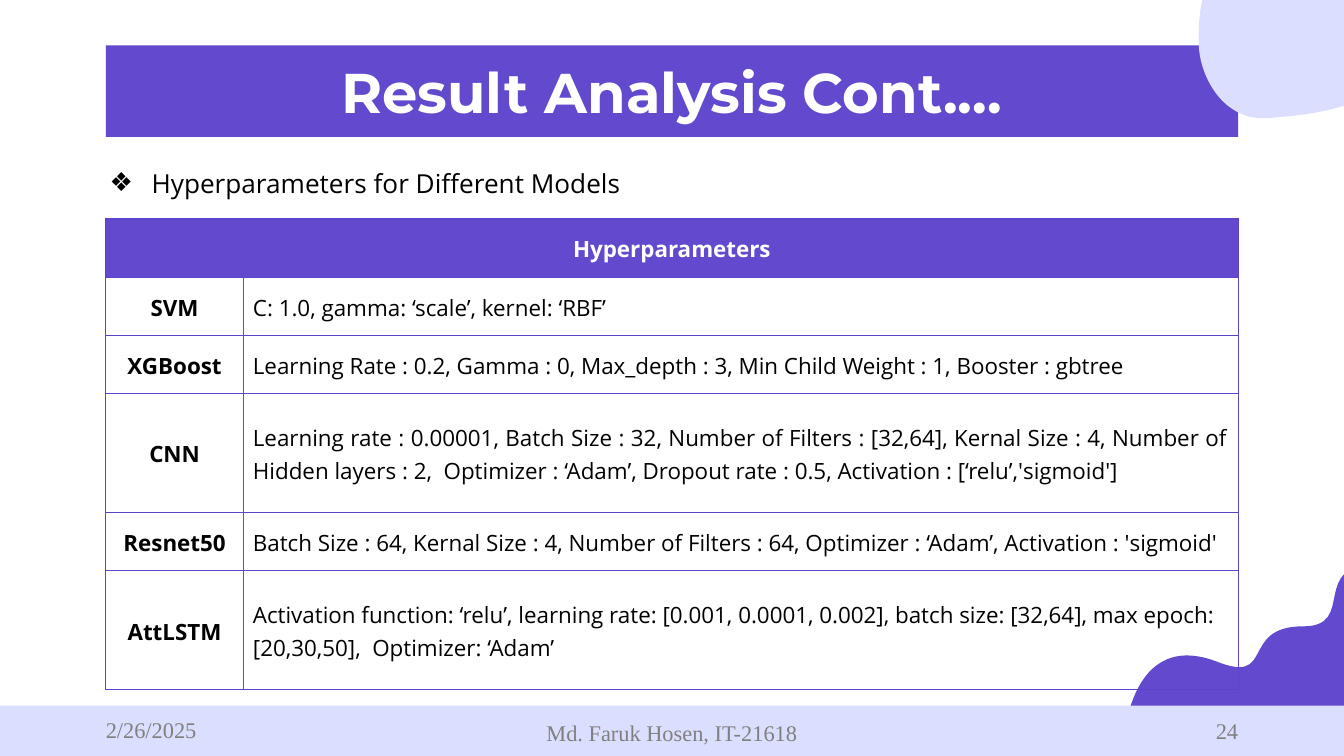
import pptx
import pptx.dml.color
import pptx.enum.shapes
import pptx.enum.text
import pptx.oxml.ns
import pptx.util
from lxml import etree

Cm = pptx.util.Cm
Pt = pptx.util.Pt
qn = pptx.oxml.ns.qn
ALIGN = pptx.enum.text.PP_ALIGN
ANCHOR = pptx.enum.text.MSO_ANCHOR
SHAPE = pptx.enum.shapes.MSO_SHAPE

PURPLE, BORDER, BAND, BLOB = "6249CE", "5E44CD", "DBDFFF", "DBDEFF"
WHITE, BLACK, GREY = "FFFFFF", "000000", "808080"

TITLE_FONT = {"name": "Montserrat", "size": Pt(30), "bold": True}
LIST_FONT = {"name": "Open Sans", "size": Pt(14), "bold": False}
CELL_FONT = {"name": "Open Sans", "size": Pt(12)}
FOOTER_FONT = {"name": "Times New Roman", "size": Pt(12), "bold": False}
CELL_FORMAT = {"margin_left": Cm(0.18), "margin_right": Cm(0.18), "margin_top": 0,
               "margin_bottom": 0, "vertical_anchor": ANCHOR.MIDDLE}
CELL_PARAGRAPH = {"line_spacing": 1.07, "space_after": Pt(8)}

HEADER = "Hyperparameters"
ROWS = [
    ("SVM", "C: 1.0, gamma: ‘scale’, kernel: ‘RBF’"),
    ("XGBoost", "Learning Rate : 0.2, Gamma : 0, Max_depth : 3, Min Child Weight : 1, "
                "Booster : gbtree"),
    ("CNN", "Learning rate : 0.00001, Batch Size : 32, Number of Filters : [32,64], "
            "Kernal Size : 4, Number of Hidden layers : 2,  Optimizer : ‘Adam’, "
            "Dropout rate : 0.5, Activation : [‘relu’,′sigmoid′]"),
    ("Resnet50", "Batch Size : 64, Kernal Size : 4, Number of Filters : 64, "
                 "Optimizer : ‘Adam’, Activation : ′sigmoid′"),
    ("AttLSTM", "Activation function: ‘relu’, learning rate: [0.001, 0.0001, 0.002], "
                "batch size: [32,64], max epoch: [20,30,50],  Optimizer: ‘Adam’"),
]
TALL_ROWS = ("CNN", "AttLSTM")

WAVE_CURVES = [
    [(0, 3.71), (0, 3.71), (0, 3.71)],
    [(0, 3.71), (0, 1.17), (1.78, 1.83)],
    [(2.92, 2.29), (2.21, 1.17), (3.43, 1.17)],
    [(4.45, 1.17), (3.53, 0), (4.83, 0)],
]
BLOB_CURVES = [
    [(1.37, 0), (1.09, 0), (0.84, 0.1)],
    [(0.64, 0.18), (0.51, 0.25), (0.36, 0.46)],
    [(0.1, 0.81), (0, 1.4), (0.03, 2.03)],
    [(0.08, 2.67), (0.56, 3.43), (1.35, 3.35)],
    [(2.13, 3.3), (3.1, 3.15), (3.38, 2.74)],
    [(3.94, 1.93), (3.15, 0.61), (2.64, 0.33)],
    [(2.31, 0.18), (1.98, 0.1), (1.65, 0.03)],
]


def color(value):
    return pptx.dml.color.RGBColor.from_string(value)


def set_all(obj, values):
    for name, value in values.items():
        setattr(obj, name, value)


def paint(sp, value):
    sp.fill.solid()
    sp.fill.fore_color.rgb = color(value)
    sp.line.fill.background()


def write(p, text, font, value, align):
    r = p.add_run()
    r.text = text
    set_all(r.font, font)
    r.font.color.rgb = color(value)
    p.alignment = align


def place(sp, box):
    set_all(sp, dict(zip(("left", "top", "width", "height"), map(Cm, box))))


def add_title(s, box, text):
    sp = s.shapes.title
    place(sp, box)
    geom = etree.SubElement(sp._element.spPr, qn("a:prstGeom"), prst="roundRect")
    guides = etree.SubElement(geom, qn("a:avLst"))
    etree.SubElement(guides, qn("a:gd"), name="adj", fmla="val 7100")
    paint(sp, PURPLE)
    tf = sp.text_frame
    set_all(tf, {"auto_size": pptx.enum.text.MSO_AUTO_SIZE.NONE,
                 "vertical_anchor": ANCHOR.MIDDLE})
    write(tf.paragraphs[0], text, TITLE_FONT, WHITE, ALIGN.CENTER)


def add_list(s, box, items):
    sp = s.placeholders[1]
    place(sp, box)
    tf = sp.text_frame
    set_all(tf, {"auto_size": pptx.enum.text.MSO_AUTO_SIZE.NONE, "word_wrap": False})
    for i, item in enumerate(items):
        p = tf.add_paragraph() if i else tf.paragraphs[0]
        pPr = p._p.get_or_add_pPr()
        pPr.set("marL", str(Cm(0.79)))
        pPr.set("indent", str(-Cm(0.79)))
        clr = etree.SubElement(pPr, qn("a:buClr"))
        etree.SubElement(clr, qn("a:srgbClr"), val=BLACK)
        etree.SubElement(pPr, qn("a:buChar"), char="❖")
        p.space_before = Pt(0)
        write(p, item, LIST_FONT, BLACK, ALIGN.LEFT)


def add_border(cell, side, value, width):
    ln = etree.SubElement(cell._tc.get_or_add_tcPr(), qn("a:ln" + side), w=str(Pt(width)))
    fill = etree.SubElement(ln, qn("a:solidFill"))
    etree.SubElement(fill, qn("a:srgbClr"), val=value)


def fill_cell(cell, text, bold, value, align):
    set_all(cell, CELL_FORMAT)
    p = cell.text_frame.paragraphs[0]
    set_all(p, CELL_PARAGRAPH)
    write(p, text, {**CELL_FONT, "bold": bold}, value, align)


def add_hyperparameter_table(s, box):
    tbl = s.shapes.add_table(len(ROWS) + 1, 2, *map(Cm, box)).table
    set_all(tbl, {"first_row": False, "horz_banding": False})
    for column, width in zip(tbl.columns, (2.6, box[2] - 2.6)):
        column.width = Cm(width)
    for row, name in zip(tbl.rows, [HEADER] + [name for name, _ in ROWS]):
        row.height = Cm(2.25 if name in TALL_ROWS else 1.1)
    for row in range(len(ROWS) + 1):
        for col in range(2):
            cell = tbl.cell(row, col)
            for side in "LRTB":
                inner = row > 0 and side == "RL"[col]
                add_border(cell, side, *((PURPLE, 1) if inner else (BORDER, 0.75)))
            cell.fill.background()
    header = tbl.cell(0, 0)
    header.merge(tbl.cell(0, 1))
    header.fill.solid()
    header.fill.fore_color.rgb = color(PURPLE)
    fill_cell(header, HEADER, True, WHITE, ALIGN.CENTER)
    for row, (name, values) in enumerate(ROWS, 1):
        fill_cell(tbl.cell(row, 0), name, True, BLACK, ALIGN.CENTER)
        align = ALIGN.LEFT if name == "AttLSTM" else ALIGN.JUSTIFY
        fill_cell(tbl.cell(row, 1), values, False, BLACK, align)


def add_curved_shape(s, box, start, curves, value):
    builder = s.shapes.build_freeform(*map(Cm, start))
    builder.add_line_segments([tuple(map(Cm, curve[-1])) for curve in curves], close=True)
    sp = builder.convert_to_shape()
    place(sp, box)
    move = next(sp._element.iter(qn("a:moveTo")))
    outline = move.getparent()
    set_extent = dict(zip("wh", map(Cm, box[2:])))
    for name, size in set_extent.items():
        outline.set(name, str(size))
    for segment, points in zip([move] + outline.findall(qn("a:lnTo")), [[start]] + curves):
        if segment is not move:
            segment.tag = qn("a:cubicBezTo")
        for pt in list(segment):
            segment.remove(pt)
        for x, y in points:
            etree.SubElement(segment, qn("a:pt"), x=str(Cm(x)), y=str(Cm(y)))
    sp.shadow.inherit = False
    paint(sp, value)


def add_wave(s, box):
    add_curved_shape(s, box, (4.83, 3.71), WAVE_CURVES, PURPLE)


def add_blob(s, box):
    add_curved_shape(s, box, (1.65, 0.03), BLOB_CURVES, BLOB)


def add_footer(s, box):
    left, top, width, height = box
    shapes = s.shapes.add_group_shape().shapes
    band = shapes.add_shape(SHAPE.RECTANGLE, *map(Cm, box))
    band.shadow.inherit = False
    paint(band, BAND)
    for x, y, w, h, text, align in [
        (1.75, 0.08, 5.72, 0.76, "2/26/2025", ALIGN.LEFT),
        (8.41, 0.08, 8.58, 0.86, "Md. Faruk Hosen, IT-21618", ALIGN.CENTER),
        (17.93, 0, 5.72, height, "24", ALIGN.RIGHT),
    ]:
        tf = shapes.add_textbox(Cm(left + x), Cm(top + y), Cm(w), Cm(h)).text_frame
        set_all(tf, {"word_wrap": True, "vertical_anchor": ANCHOR.MIDDLE})
        write(tf.paragraphs[0], text, FOOTER_FONT, GREY, align)


def main():
    prs = pptx.Presentation()
    set_all(prs, {"slide_width": Cm(25.4), "slide_height": Cm(14.29)})
    s = prs.slides.add_slide(prs.slide_layouts[1])
    add_wave(s, (21.2, 10.67, 4.83, 3.71))
    add_title(s, (2, 0.86, 21.4, 1.73), "Result Analysis Cont.…")
    add_list(s, (1.82, 3.03, 10.29, 0.86), ["Hyperparameters for Different Models"])
    add_hyperparameter_table(s, (2, 4.14, 21.4, 8.9))
    add_footer(s, (0, 13.34, 25.4, 0.95))
    add_blob(s, (22.63, -1.12, 3.96, 3.43))
    prs.save("out.pptx")


if __name__ == "__main__":
    main()
